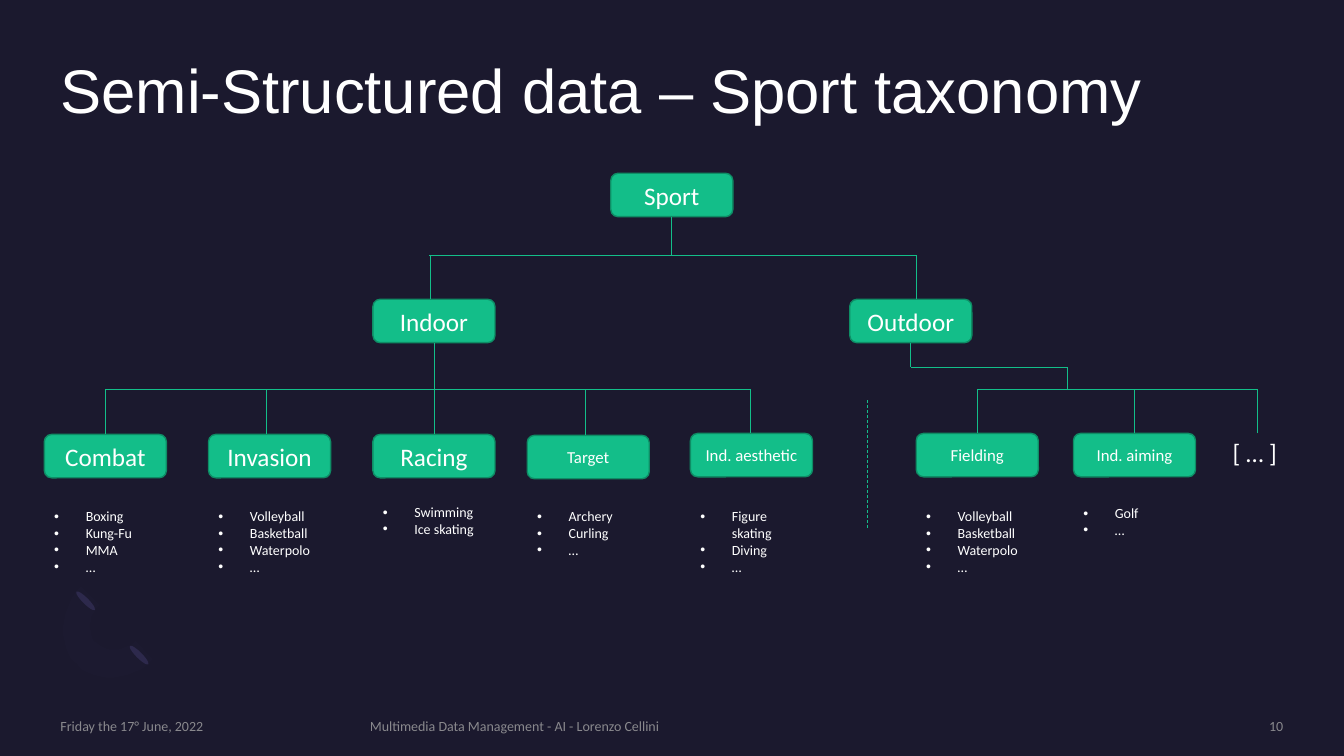
from lxml.etree import SubElement as Sub
from pptx import Presentation
from pptx.dml.color import RGBColor
from pptx.enum.dml import MSO_LINE as Dash
from pptx.enum.shapes import MSO_CONNECTOR as Conn, MSO_SHAPE as Kind
from pptx.enum.text import MSO_ANCHOR as Anchor, MSO_AUTO_SIZE as Auto, PP_ALIGN as Align
from pptx.oxml.ns import qn
from pptx.util import Pt

TOP, BOTTOM = 0, 2


def color(code):
    return RGBColor.from_string(code)


def fade(node, share):
    """Set the opacity, in percent, of the colours below an XML node."""
    for hue in node.iter(qn("a:srgbClr")):
        Sub(hue, qn("a:alpha"), val=str(share * 1000))


class Deck:
    back, green, edge = "1B192E", "13BE89", "0E8D65"
    white, gray, dim, haze = "FFFFFF", "A6A6A6", "2C284A", "7771B2"
    face, width, height = "Calibri", 87.2, 31

    def __init__(self):
        self.file = Presentation()
        self.file.slide_width, self.file.slide_height = Pt(960), Pt(540)
        self.slide = self.file.slides.add_slide(self.file.slide_layouts[6])
        self.shapes = self.slide.shapes
        fill = self.slide.background.fill
        fill.solid()
        fill.fore_color.rgb = color(self.back)

    def paint(self, shape, code, edge=None):
        shape.shadow.inherit = False
        shape.fill.solid()
        shape.fill.fore_color.rgb = color(code)
        if edge:
            shape.line.color.rgb = color(edge)
            shape.line.width = Pt(1)
        else:
            shape.line.fill.background()

    def style(self, para, size, code=white, face=face, align=Align.LEFT):
        para.alignment = align
        para.font.size, para.font.name = Pt(size), face
        para.font.color.rgb = color(code)

    def text(self, x, y, w, h, words, size, inset=True, **look):
        box = self.shapes.add_textbox(Pt(x), Pt(y), Pt(w), Pt(h))
        frame = box.text_frame
        frame.word_wrap = True
        if not inset:
            frame.margin_left = frame.margin_right = 0
            frame.margin_top = frame.margin_bottom = 0
        frame.text = words
        self.style(frame.paragraphs[0], size, **look)
        return frame

    def foot(self, x, w, words, align=Align.LEFT):
        frame = self.text(x, 512.6, w, 12.2, words, 10, False,
                          code=self.gray, align=align)
        frame.vertical_anchor = Anchor.MIDDLE
        fade(frame.paragraphs[0]._p, 80)

    def node(self, x, y, name, size=18):
        box = self.shapes.add_shape(Kind.ROUNDED_RECTANGLE, Pt(x), Pt(y),
                                    Pt(self.width), Pt(self.height))
        self.paint(box, self.green, self.edge)
        frame = box.text_frame
        frame.text = name
        frame.vertical_anchor = Anchor.MIDDLE
        self.style(frame.paragraphs[0], size, align=Align.CENTER)
        return box

    def bullets(self, x, y, items, rows):
        frame = self.text(x, y, self.width, 7.2 + 12.1 * rows, "\n".join(items), 10)
        frame.auto_size = Auto.SHAPE_TO_FIT_TEXT
        for para in frame.paragraphs:
            props = para._p.get_or_add_pPr()
            props.set("marL", str(Pt(22.5)))
            props.set("indent", str(-Pt(22.5)))
            mark = props.makeelement(qn("a:buChar"), {"char": "•"})
            font = props.makeelement(qn("a:buFont"), {"typeface": "Arial"})
            props.insert(0, mark)
            props.insert(0, font)
            self.style(para, 10)

    def line(self, x1, y1, x2, y2, start=None, site=TOP, dash=None):
        wire = self.shapes.add_connector(Conn.STRAIGHT, Pt(x1), Pt(y1), Pt(x2), Pt(y2))
        wire.line.color.rgb = color(self.green)
        wire.line.width = Pt(0.5)
        if dash:
            wire.line.dash_style = dash
        Sub(wire._element.spPr, qn("a:effectLst"))
        if start is not None:
            wire.begin_connect(start, site)

    def drop(self, box, site, y):
        """Draw a vertical line from the middle of a box side to height y."""
        x = (box.left + box.width / 2) / Pt(1)
        edge = (box.top + (box.height if site == BOTTOM else 0)) / Pt(1)
        self.line(x, edge, x, y, box, site)

    def dot(self, x, y):
        oval = self.shapes.add_shape(Kind.OVAL, Pt(x), Pt(y), Pt(4.3), Pt(18.7))
        oval.rotation = 135
        self.paint(oval, self.dim)

    def arc(self, outer, inner):
        """Draw a faint band between two chains of Bézier curves."""
        dots = []
        for chain in (outer, inner):
            for i in range(0, len(chain) - 1, 3):
                a, b, c, d = chain[i:i + 4]
                for t in (n / 12 for n in range(13)):
                    s = 1 - t
                    dots.append(tuple(
                        s**3 * a[k] + 3 * s * s * t * b[k] + 3 * s * t * t * c[k]
                        + t**3 * d[k] for k in (0, 1)))
        pen = self.shapes.build_freeform(*dots[0], scale=Pt(1))
        pen.add_line_segments(dots[1:], close=True)
        band = pen.convert_to_shape()
        self.paint(band, self.haze)
        fade(band._element.spPr, 2)


def main():
    deck = Deck()

    # Faint ornament
    deck.dot(97.2, 458.6)
    deck.dot(59, 419.8)
    deck.arc([(109.4, 470.9), (93.6, 486.7), (68.4, 488.9), (54.7, 474.5),
              (40.3, 460.1), (41.8, 435.6), (58.3, 419)],
             [(71.3, 432), (62.6, 439.9), (61.9, 452.9), (69.1, 459.4),
              (76.3, 466.6), (88.6, 465.8), (97.2, 457.9)])

    # Title and footer
    title = deck.text(43.2, 43.2, 873.4, 105, "Semi-Structured data – Sport taxonomy",
                      44, False, face="Arial")
    title.paragraphs[0].line_spacing = 0.9
    deck.foot(43.2, 207.4, "Friday the 17° June, 2022")
    deck.foot(264.2, 502.6, "Multimedia Data Management - AI - Lorenzo Cellini")
    deck.foot(783.4, 133.2, "10", Align.RIGHT)

    # Upper levels
    fork, bus, bend = 182.2, 277.9, 262.1
    sport = deck.node(436.3, 123.8, "Sport")
    indoor = deck.node(266.4, 213.8, "Indoor")
    outdoor = deck.node(607, 213.8, "Outdoor")
    deck.drop(sport, BOTTOM, fork)
    deck.line(306.7, fork, 654.5, fork)
    for x in (307.4, 654.5):
        deck.line(x, 213.8, x, fork)
    deck.drop(indoor, BOTTOM, bus)
    deck.drop(outdoor, BOTTOM, bend)
    deck.line(650.6, bend, 762.5, bend)
    deck.line(762.5, bus, 762.5, bend)

    # Leaves: left, top, name, size, list top, rows, off-centre line, items
    ball = ["Volleyball", "Basketball", "Waterpolo", "…"]
    leaves = [
        (31.7, 310.3, "Combat", 18, 359.3, 4, None, ["Boxing", "Kung-Fu", "MMA", "…"]),
        (149, 310.3, "Invasion", 18, 359.3, 4, 190.1, ball),
        (266.4, 310.3, "Racing", 18, 356.4, 2, None, ["Swimming", "Ice skating"]),
        (376.6, 311, "Target", 12, 359.3, 3, 418.3, ["Archery", "Curling", "…"]),
        (493.2, 309.6, "Ind. aesthetic", 12, 359.3, 4, 535.7,
         ["Figure skating", "Diving", "…"]),
        (654.5, 309.6, "Fielding", 12, 359.3, 4, None, ball),
        (766.8, 309.6, "Ind. aiming", 12, 357.1, 2, None, ["Golf", "…"]),
    ]
    for x, y, name, size, low, rows, off, items in leaves:
        leaf = deck.node(x, y, name, size)
        deck.bullets(x, low, items, rows)
        if off:
            deck.line(off, y, off, bus)
        else:
            deck.drop(leaf, TOP, bus)

    # Shared lines, open branch and divider
    deck.line(75, bus, 535.7, bus)
    deck.line(697.7, bus, 897.8, bus)
    deck.line(897.8, 309.6, 897.8, bus)
    deck.text(873.4, 308.9, 55.4, 29, "[ … ]", 18)
    deck.line(619.2, 377.3, 619.2, 285.1, dash=Dash.DASH)

    deck.file.save("out.pptx")


if __name__ == "__main__":
    main()
